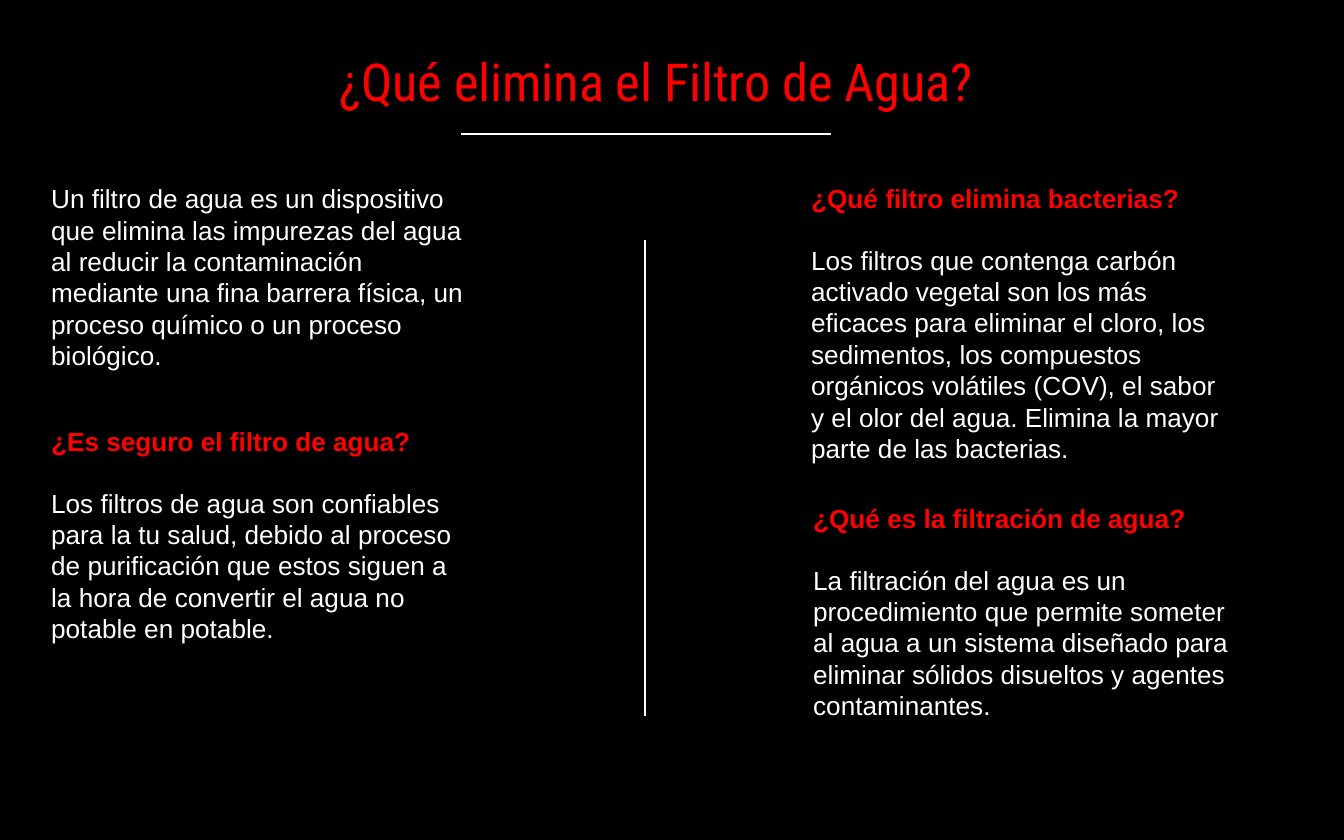
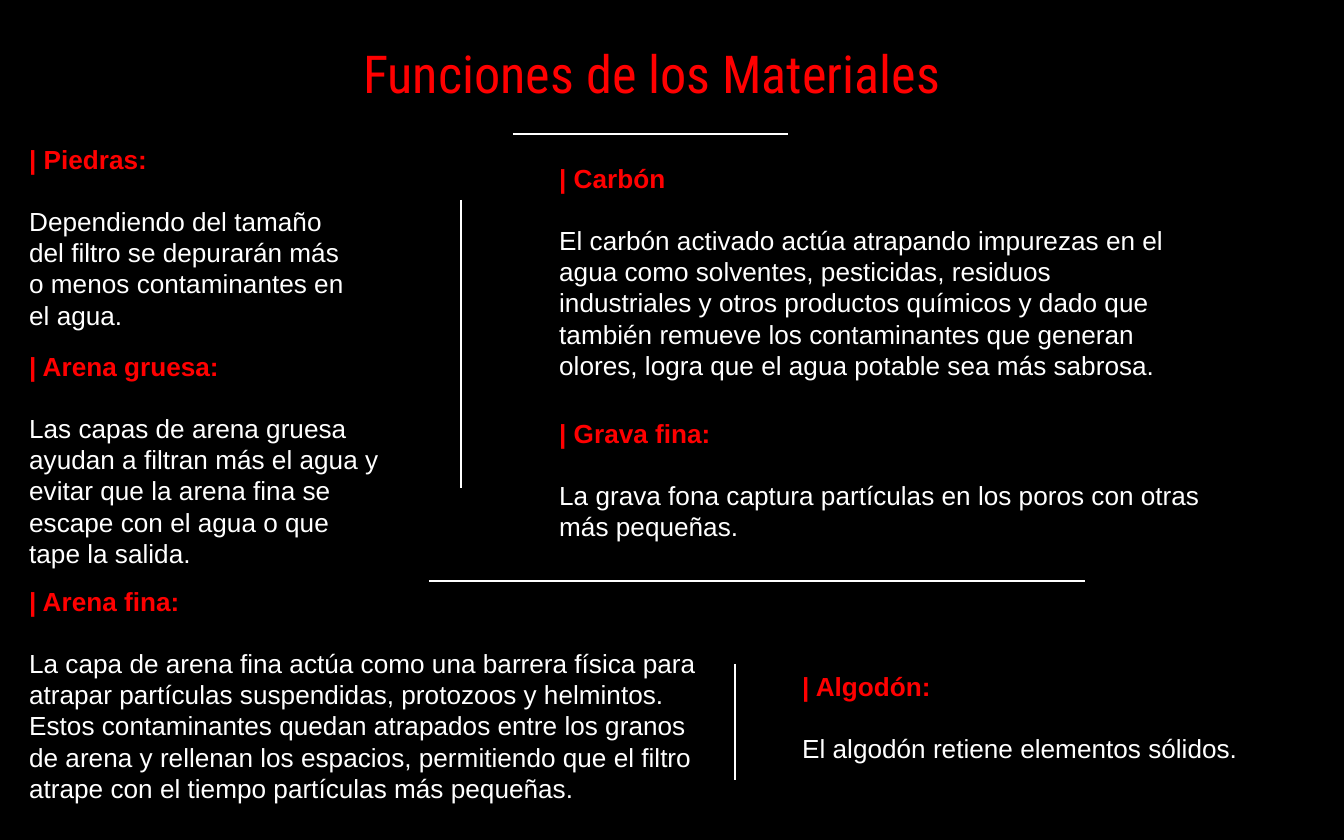
import pptx
import pptx.dml.color
import pptx.enum.shapes
import pptx.enum.text
import pptx.oxml.ns
import pptx.util
from lxml import etree

EMU_PER_PX = 914400 / 134.4
WIDTH, HEIGHT = 1344, 840
COLORS = {"background": "000000", "accent": "FF0000", "body": "FFFFFF"}
TITLE_FONT, BODY_FONT = "Roboto Condensed", "Arial"
BODY_LINE = 16.1
RULE_Y = 134


def px(length):
    return pptx.util.Emu(round(length * EMU_PER_PX))


def color(name):
    return pptx.dml.color.RGBColor.from_string(COLORS[name])


def add_slide(presentation):
    slide = presentation.slides.add_slide(presentation.slide_layouts[6])
    fill = slide.background.fill
    fill.solid()
    fill.fore_color.rgb = color("background")
    return slide


def add_frame(slide, box):
    frame = slide.shapes.add_textbox(*map(px, box)).text_frame
    frame.word_wrap = True
    return frame


def add_run(paragraph, text, font, size, color_name, bold=False):
    run = paragraph.add_run()
    run.text = text
    run.font.name = font
    run.font.size = pptx.util.Pt(size)
    run.font.bold = bold
    run.font.color.rgb = color(color_name)


def add_rule(slide, start, end):
    line = slide.shapes.add_connector(
        pptx.enum.shapes.MSO_CONNECTOR.STRAIGHT, *map(px, start + end))
    line.line.color.rgb = color("body")
    line.line.width = pptx.util.Pt(0.75)
    etree.SubElement(line._element.spPr, pptx.oxml.ns.qn("a:effectLst"))


def add_title(slide, text, box, rule_left, rule_right):
    """Centred title with the thin rule below it."""
    frame = add_frame(slide, box)
    frame.vertical_anchor = pptx.enum.text.MSO_ANCHOR.MIDDLE
    paragraph = frame.paragraphs[0]
    paragraph.alignment = pptx.enum.text.PP_ALIGN.CENTER
    add_run(paragraph, text, TITLE_FONT, 28, "accent")
    add_rule(slide, (rule_left, RULE_Y), (rule_right, RULE_Y))


def add_section(slide, box, heading, body):
    """Optional red heading, one line of space, then the body text."""
    frame = add_frame(slide, box)
    paragraph = frame.paragraphs[0]
    if heading:
        add_run(paragraph, heading, BODY_FONT, 14, "accent", True)
        paragraph = frame.add_paragraph()
        paragraph.space_before = pptx.util.Pt(BODY_LINE)
    add_run(paragraph, body, BODY_FONT, 14, "body")


def build_filter_slide(presentation):
    slide = add_slide(presentation)
    add_title(slide, "¿Qué elimina el Filtro de Agua?", (216, 28, 880, 106), 461, 831)
    sections = [
        (38, 176, 203, None,
         "Un filtro de agua es un dispositivo que elimina las impurezas del agua al "
         "reducir la contaminación mediante una fina barrera física, un proceso "
         "químico o un proceso biológico."),
        (38, 419, 267, "¿Es seguro el filtro de agua?",
         "Los filtros de agua son confiables para la tu salud, debido al proceso de "
         "purificación que estos siguen a la hora de convertir el agua no potable en "
         "potable."),
        (798, 176, 298, "¿Qué filtro elimina bacterias?",
         "Los filtros que contenga carbón activado vegetal son los más eficaces para "
         "eliminar el cloro, los sedimentos, los compuestos orgánicos volátiles (COV), "
         "el sabor y el olor del agua. Elimina la mayor parte de las bacterias."),
        (800, 496, 235, "¿Qué es la filtración de agua?",
         "La filtración del agua es un procedimiento que permite someter al agua a un "
         "sistema diseñado para eliminar sólidos disueltos y agentes contaminantes."),
    ]
    for left, top, height, heading, body in sections:
        add_section(slide, (left, top, 445, height), heading, body)
    add_rule(slide, (645, 240), (645, 716))


def build_materials_slide(presentation):
    slide = add_slide(presentation)
    add_title(slide, "Funciones de los Materiales", (323, 28, 657, 90), 513, 788)
    sections = [
        ((16, 137, 349, 203), "| Piedras:",
         "Dependiendo del tamaño del filtro se depurarán más o menos contaminantes en "
         "el agua."),
        ((16, 344, 380, 235), "| Arena gruesa:",
         "Las capas de arena gruesa ayudan a filtran más el agua y evitar que la arena "
         "fina se escape con el agua o que tape la salida."),
        ((16, 579, 710, 235), "| Arena fina:",
         "La capa de arena fina actúa como una barrera física para atrapar partículas "
         "suspendidas, protozoos y helmintos. Estos contaminantes quedan atrapados "
         "entre los granos de arena y rellenan los espacios, permitiendo que el filtro "
         "atrape con el tiempo partículas más pequeñas."),
        ((546, 156, 634, 235), "| Carbón",
         "El carbón activado actúa atrapando impurezas en el agua como solventes, "
         "pesticidas, residuos industriales y otros productos químicos y dado que "
         "también remueve los contaminantes que generan olores, logra que el agua "
         "potable sea más sabrosa."),
        ((789, 664, 550, 109), "| Algodón:",
         "El algodón retiene elementos sólidos."),
        ((546, 411, 677, 140), "| Grava fina:",
         "La grava fona captura partículas en los poros con otras más pequeñas."),
    ]
    for box, heading, body in sections:
        add_section(slide, box, heading, body)
    add_rule(slide, (461, 200), (461, 488))
    add_rule(slide, (429, 581), (1085, 581))
    add_rule(slide, (735, 664), (735, 780))


def main():
    presentation = pptx.Presentation()
    presentation.slide_width = px(WIDTH)
    presentation.slide_height = px(HEIGHT)
    build_filter_slide(presentation)
    build_materials_slide(presentation)
    presentation.save("out.pptx")


if __name__ == "__main__":
    main()
